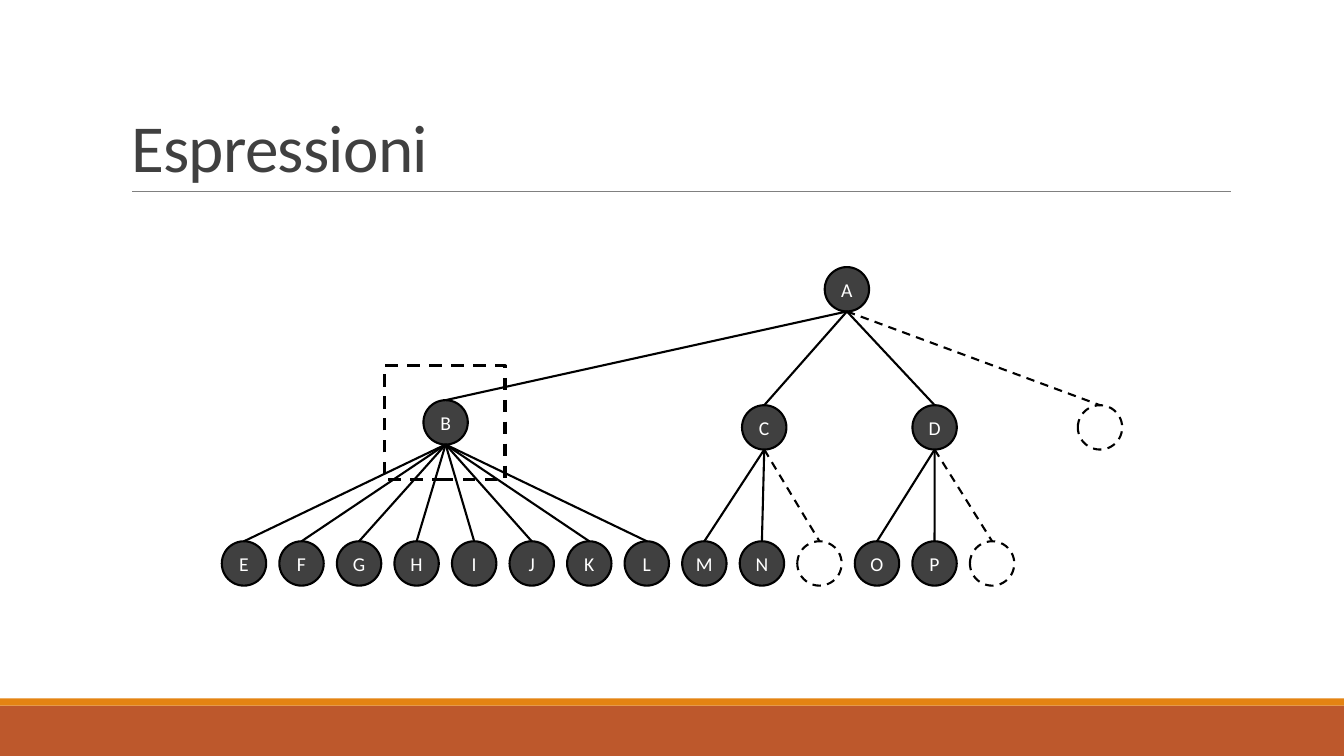
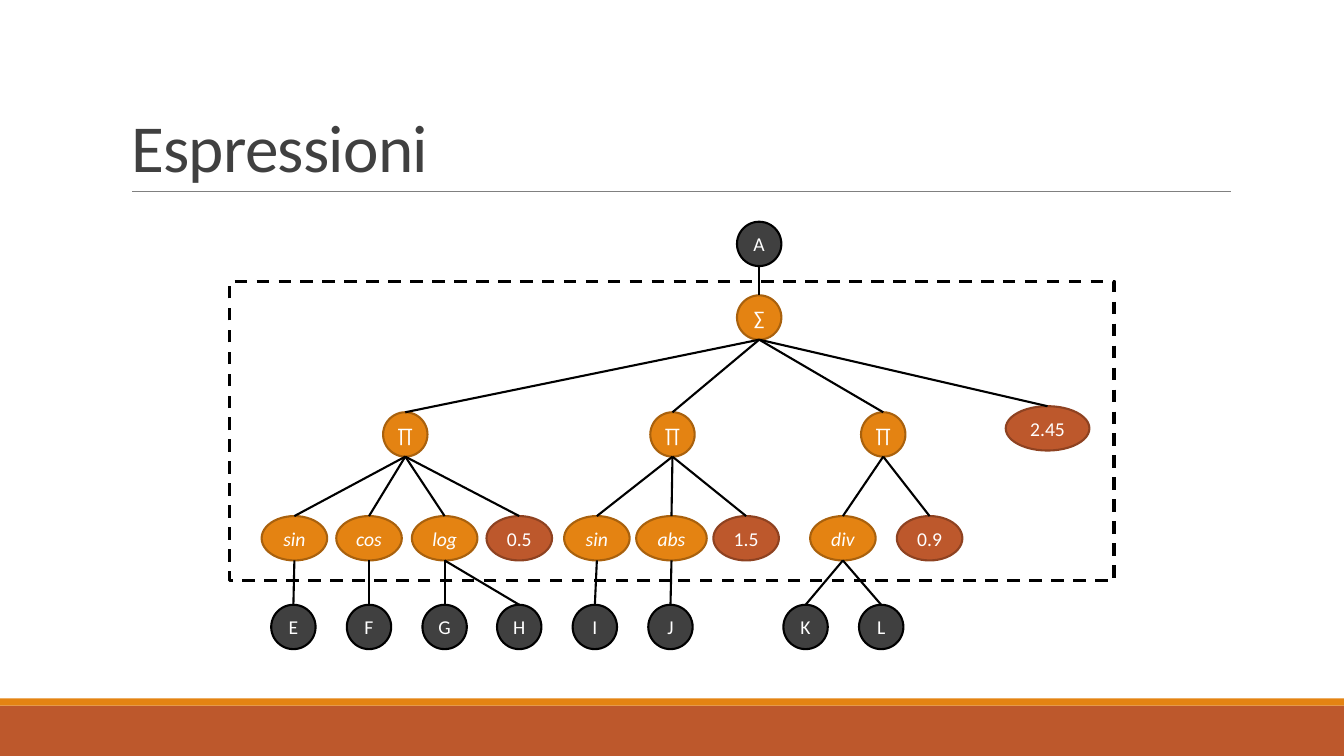
"""Build two slides that show expression trees."""
from dataclasses import dataclass

from pptx import Presentation
from pptx.dml.color import RGBColor
from pptx.enum.dml import MSO_LINE
from pptx.enum.shapes import MSO_CONNECTOR, MSO_SHAPE
from pptx.enum.text import MSO_ANCHOR, MSO_AUTO_SIZE, PP_ALIGN
from pptx.oxml.ns import qn
from pptx.util import Inches, Pt


@dataclass(frozen=True)
class Theme:
    font: str = "Calibri"
    title_size: float = 48
    label_size: float = 14
    edge_width: float = 1.5
    frame_width: float = 2.25
    rule_width: float = 0.5
    dark: str = "404040"
    black: str = "000000"
    white: str = "FFFFFF"
    gray: str = "808080"
    orange: str = "E48312"
    orange_edge: str = "A9610D"
    rust: str = "BD582C"
    rust_edge: str = "8E4221"


@dataclass
class Node:
    label: str
    kind: str
    center: float
    top: float
    parent: "Node" = None
    width: float = 0.44


THEME = Theme()
NODE_HEIGHT = 0.44
KIND_COLORS = {
    "variable": (THEME.dark, THEME.black),
    "operator": (THEME.orange, THEME.orange_edge),
    "function": (THEME.orange, THEME.orange_edge),
    "constant": (THEME.rust, THEME.rust_edge),
    "open": (None, THEME.black),
}


def add_shape(shapes, preset, box, fill=None, line=None, width=0, dashed=False):
    shape = shapes.add_shape(preset, *map(Inches, box))
    shape.shadow.inherit = False
    if fill:
        shape.fill.solid()
        shape.fill.fore_color.rgb = RGBColor.from_string(fill)
    else:
        shape.fill.background()
    if line:
        shape.line.color.rgb = RGBColor.from_string(line)
        shape.line.width = Pt(width)
    else:
        shape.line.fill.background()
    if dashed:
        shape.line.dash_style = MSO_LINE.DASH
    return shape


def add_line(shapes, start, end, color, width, dashed=False):
    line = shapes.add_connector(MSO_CONNECTOR.STRAIGHT, *map(Inches, (*start, *end)))
    line.line.color.rgb = RGBColor.from_string(color)
    line.line.width = Pt(width)
    if dashed:
        line.line.dash_style = MSO_LINE.DASH
    properties = line.element.spPr
    properties.append(properties.makeelement(qn("a:effectLst"), {}))
    return line


root = Node("A", "variable", 8.4, 2.65)
branch_b = Node("B", "variable", 4.42, 3.97, root)
branch_c = Node("C", "variable", 7.58, 4.02, root)
branch_d = Node("D", "variable", 9.27, 4.02, root)
variable_tree = [root, branch_b, branch_c, branch_d, Node("", "open", 10.91, 4.02, root)]

leaves = [(label, branch_b) for label in "EFGHIJKL"]
leaves += [(label, branch_c) for label in ("M", "N", "")]
leaves += [(label, branch_d) for label in ("O", "P", "")]
first_leaf, last_leaf = 2.42, 9.84
leaf_step = (last_leaf - first_leaf) / (len(leaves) - 1)
for index, (label, parent) in enumerate(leaves):
    kind = "variable" if label else "open"
    variable_tree.append(Node(label, kind, first_leaf + index * leaf_step, 5.37, parent))

root = Node("A", "variable", 7.53, 2.2)
total = Node("∑", "operator", 7.53, 2.93, root)
products = [Node("∏", "operator", center, 4.09, total) for center in (4.02, 6.67, 8.76)]
operator_tree = [root, total, *products, Node("2.45", "constant", 10.39, 4.03, total, 0.83)]

factors = [
    ("sin", 2.92, 0, [("E", 2.91)]),
    ("cos", 3.66, 0, [("F", 3.66)]),
    ("log", 4.41, 0, [("G", 4.41), ("H", 5.15)]),
    ("0.5", 5.15, 0, []),
    ("sin", 5.92, 1, [("I", 5.9)]),
    ("abs", 6.66, 1, [("J", 6.65)]),
    ("1.5", 7.4, 1, []),
    ("div", 8.36, 2, [("K", 7.99), ("L", 8.74)]),
    ("0.9", 9.22, 2, []),
]
for label, center, product, arguments in factors:
    kind = "function" if arguments else "constant"
    width = 0.7 if label == "abs" else 0.65
    factor = Node(label, kind, center, 5.12, products[product], width)
    operator_tree.append(factor)
    operator_tree += [Node(name, "variable", x, 6, factor) for name, x in arguments]

presentation = Presentation()
presentation.slide_width, presentation.slide_height = Inches(13.33), Inches(7.5)
layout = presentation.slide_layouts[5]
for placeholder in list(layout.placeholders)[1:]:
    layout.shapes.element.remove(placeholder.element)
layout_title = layout.placeholders[0]
layout_title.left, layout_title.top = Inches(1.2), Inches(0.31)
layout_title.width, layout_title.height = Inches(11), Inches(1.59)
layout_title.text_frame.vertical_anchor = MSO_ANCHOR.BOTTOM

pages = [
    (variable_tree, (3.81, 3.63, 1.2, 1.13)),
    (operator_tree, (2.28, 2.79, 8.77, 2.97)),
]
slides = [presentation.slides.add_slide(layout) for page in pages]

shapes = slides[0].shapes
shared_parts = [
    add_shape(shapes, MSO_SHAPE.RECTANGLE, (0, 7, 13.33, 0.5), THEME.rust),
    add_shape(shapes, MSO_SHAPE.RECTANGLE, (0, 6.93, 13.33, 0.07), THEME.orange),
    add_line(shapes, (1.31, 1.9), (12.21, 1.9), THEME.gray, THEME.rule_width),
]
for part in shared_parts:
    layout.shapes.element.append(part.element)

for slide, (tree, frame) in zip(slides, pages):
    title = slide.shapes.title.text_frame
    title.text = "Espressioni"
    title.auto_size = MSO_AUTO_SIZE.NONE
    paragraph = title.paragraphs[0]
    paragraph.alignment = PP_ALIGN.LEFT
    paragraph.line_spacing = 0.85
    paragraph.font.name = THEME.font
    paragraph.font.size = Pt(THEME.title_size)
    paragraph.font.color.rgb = RGBColor.from_string(THEME.dark)
    paragraph.runs[0].font._element.set("spc", "-50")

    diagram = slide.shapes.add_group_shape().shapes
    for node in tree:
        fill, edge = KIND_COLORS[node.kind]
        dashed = node.kind == "open"
        box = (node.center - node.width / 2, node.top, node.width, NODE_HEIGHT)
        shape = add_shape(diagram, MSO_SHAPE.OVAL, box, fill, edge, THEME.edge_width, dashed)
        if node.label:
            text_frame = shape.text_frame
            text_frame.text = node.label
            text_frame.word_wrap = False
            text_frame.vertical_anchor = MSO_ANCHOR.MIDDLE
            paragraph = text_frame.paragraphs[0]
            paragraph.alignment = PP_ALIGN.CENTER
            paragraph.font.name = THEME.font
            paragraph.font.size = Pt(THEME.label_size)
            paragraph.font.italic = node.kind == "function"
            paragraph.font.color.rgb = RGBColor.from_string(THEME.white)
        if node.parent:
            start = (node.parent.center, node.parent.top + NODE_HEIGHT)
            end = (node.center, node.top)
            add_line(diagram, start, end, THEME.black, THEME.edge_width, dashed)
    add_shape(diagram, MSO_SHAPE.RECTANGLE, frame, None, THEME.black, THEME.frame_width, True)

presentation.save("out.pptx")
